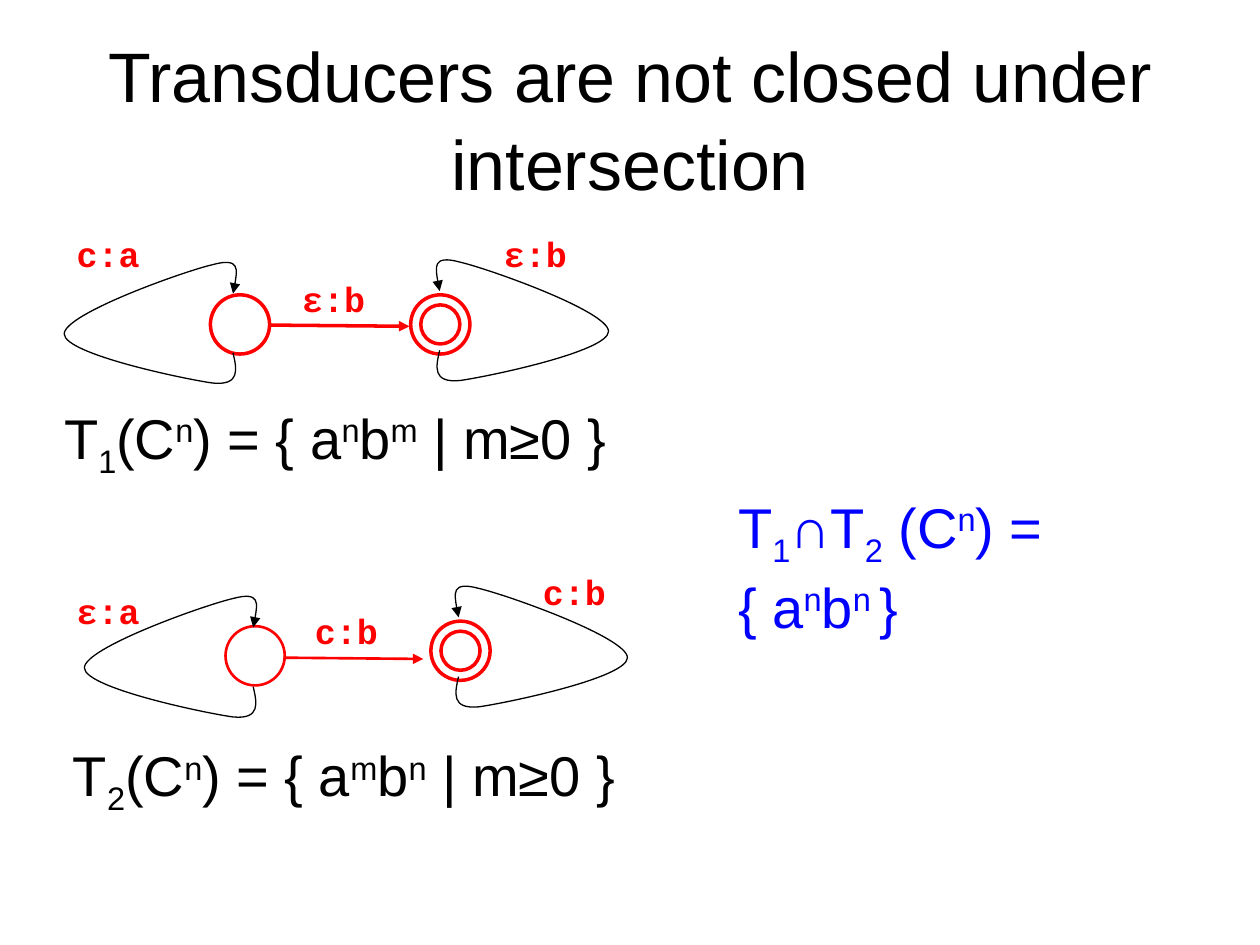
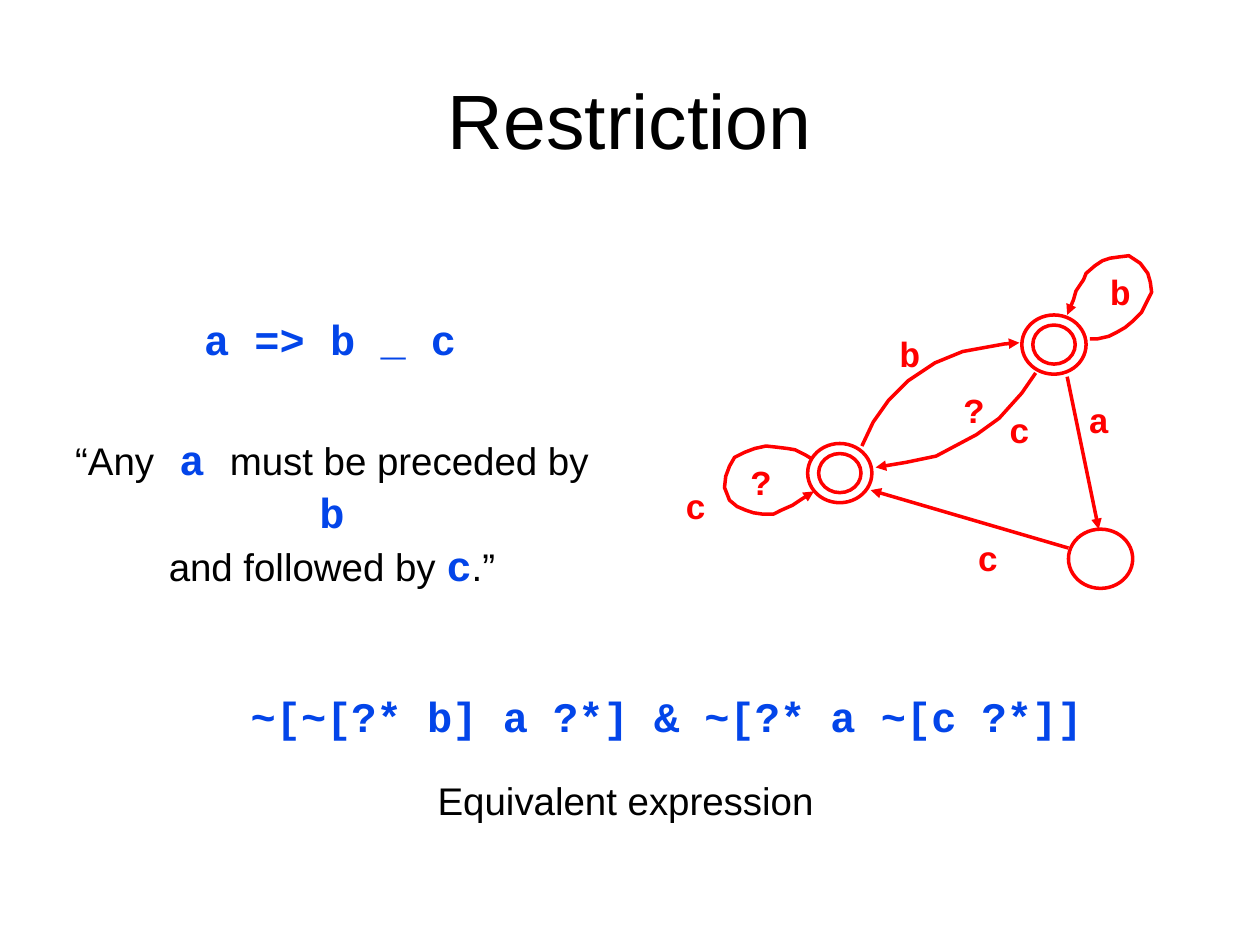
from pptx import Presentation
from pptx.dml.color import RGBColor
from pptx.enum.shapes import MSO_CONNECTOR as CONNECTOR, MSO_SHAPE as SHAPE
from pptx.enum.text import MSO_ANCHOR as ANCHOR, MSO_AUTO_SIZE as FIT, PP_ALIGN as ALIGN
from pptx.oxml.ns import qn
from pptx.util import Inches, Pt

RED, BLACK, BLUE, CODE_BLUE = "FF0000", "000000", "0000FF", "0345E9"
SANS, MONO = "Arial", "Courier New"
LEADING = 1.05
SUB, BASE, SUP = -25000, 0, 30000

STYLES = {
    "label": (MONO, 20, RED, True),
    "formula": (SANS, 32, BLACK, False),
    "result": (SANS, 32, BLUE, False),
    "code": (MONO, 24, CODE_BLUE, True),
    "prose": (SANS, 22, BLACK, False),
}

INTERSECTION_TITLE = ("Transducers are not closed under intersection", 40)
INTERSECTION_STATES = [
    (1.67, 2.34, 2, False), (3.26, 2.34, 2, True),
    (1.79, 4.97, 1.5, False), (3.42, 4.93, 2, True),
]
INTERSECTION_ARROWS = [((2.14, 2.58), (3.25, 2.59), 2), ((2.25, 5.22), (3.36, 5.23), 1.5)]
INTERSECTION_LABELS = [
    ("c:a", 0.51, 1.78), ("ε:b", 2.3, 2.14), ("ε:b", 3.9, 1.78),
    ("ε:a", 0.51, 4.61), ("c:b", 2.4, 4.77), ("c:b", 4.21, 4.46),
]
LOOP_WIDTH = 1.4
LOOP_POINTS = [
    (1.34, 0.76), (1.37, 0.89), (1.4, 1.02), (1.18, 1.0),
    (0.96, 0.97), (0, 0.77), (0, 0.61),
    (0, 0.45), (0.96, 0.11), (1.18, 0.06),
    (1.4, 0), (1.37, 0.15), (1.34, 0.29),
]
LOOPS = [(0.51, 2.04, False), (0.67, 4.69, False), (3.43, 2.02, True), (3.58, 4.61, True)]
FORMULAS = [
    (0.41, 3.12, 4.52, "formula", [
        ("T", BASE), ("1", SUB), ("(C", BASE), ("n", SUP), (") = { a", BASE), ("n", SUP),
        ("b", BASE), ("m", SUP), (" | m≥0 }", BASE)]),
    (0.48, 5.8, 4.52, "formula", [
        ("T", BASE), ("2", SUB), ("(C", BASE), ("n", SUP), (") = { a", BASE), ("m", SUP),
        ("b", BASE), ("n", SUP), (" | m≥0 }", BASE)]),
    (5.76, 3.83, 4.01, "result", [
        ("T", BASE), ("1", SUB), ("∩T", BASE), ("2", SUB), (" (C", BASE), ("n", SUP),
        (") = { a", BASE), ("n", SUP), ("b", BASE), ("n ", SUP), ("}", BASE)]),
]

RESTRICTION_TITLE = ("Restriction", 44)
RESTRICTION_STATES = [(8.48, 4.2, False), (8.11, 2.5, True), (6.41, 3.52, True)]
RESTRICTION_ARROWS = [((8.47, 2.99), (8.72, 4.2), 2), ((8.48, 4.35), (6.91, 3.89), 2)]
RESTRICTION_LABELS = [
    ("?", 5.86, 3.59), ("c", 5.34, 3.78), ("b", 8.71, 2.08), ("b", 7.04, 2.57),
    ("c", 7.91, 3.18), ("?", 7.55, 3.02), ("a", 8.54, 3.1), ("c", 7.66, 4.19),
]
RESTRICTION_PATHS = [
    [(6.84, 3.54), (6.93, 3.35), (7.05, 3.18), (7.21, 3.02), (7.42, 2.88), (7.64, 2.79),
     (7.97, 2.73), (8.09, 2.72)],
    [(8.22, 2.96), (8.11, 3.12), (7.93, 3.32), (7.75, 3.45), (7.43, 3.62), (7.19, 3.67),
     (6.95, 3.71)],
    [(6.44, 3.64), (6.39, 3.61), (6.31, 3.57), (6.25, 3.56), (6.17, 3.55), (6.08, 3.54),
     (5.99, 3.56), (5.91, 3.59), (5.83, 3.63), (5.79, 3.7), (5.76, 3.78), (5.75, 3.87),
     (5.79, 3.97), (5.85, 4.02), (5.92, 4.05), (5.98, 4.07), (6.05, 4.08), (6.14, 4.08),
     (6.2, 4.05), (6.29, 4.01), (6.35, 3.97), (6.46, 3.9)],
    [(8.65, 2.69), (8.71, 2.69), (8.8, 2.67), (8.86, 2.64), (8.93, 2.6), (8.99, 2.55),
     (9.06, 2.48), (9.1, 2.4), (9.14, 2.32), (9.13, 2.24), (9.11, 2.17), (9.05, 2.09),
     (8.96, 2.03), (8.88, 2.04), (8.81, 2.05), (8.75, 2.07), (8.69, 2.11), (8.62, 2.17),
     (8.6, 2.22), (8.54, 2.31), (8.52, 2.38), (8.47, 2.5)],
]
EXPLANATIONS = [
    (1.52, 2.42, 2.2, 0.5, [[("a => b _ c", "code")]]),
    (0.3, 3.37, 4.67, 0.9, [
        [("“Any", "prose"), (" a ", "code"), ("must be preceded by", "prose"), (" b", "code")],
        [("and followed by ", "prose"), ("c", "code"), (".”", "prose")]]),
    (1.79, 5.41, 7, 0.5, [[("~[~[?* b] a ?*] & ~[?* a ~[c ?*]]", "code")]]),
    (3.29, 6.1, 3.35, 0.46, [[("Equivalent expression", "prose")]]),
]


def color(hex_value):
    return RGBColor.from_string(hex_value)


def style_font(font, name, size, hex_value, bold=False):
    font.name, font.size, font.bold = name, Pt(size), bold
    font.color.rgb = color(hex_value)


def add_titled_slide(prs, title):
    wording, size = title
    slide = prs.slides.add_slide(prs.slide_layouts[5])
    heading = slide.shapes.title
    heading.left, heading.top, heading.width, heading.height = map(Inches, (0.5, 0.3, 9, 1.25))
    frame = heading.text_frame
    frame.text = wording
    frame.auto_size, frame.vertical_anchor, frame.word_wrap = FIT.NONE, ANCHOR.MIDDLE, True
    paragraph = frame.paragraphs[0]
    paragraph.alignment, paragraph.line_spacing = ALIGN.CENTER, LEADING
    style_font(paragraph.runs[0].font, SANS, size, BLACK)
    return slide


def add_text(slide, box, lines, align=ALIGN.LEFT, wrap=False):
    frame = slide.shapes.add_textbox(*map(Inches, box)).text_frame
    frame.word_wrap = wrap
    for index, pieces in enumerate(lines):
        paragraph = frame.add_paragraph() if index else frame.paragraphs[0]
        paragraph.alignment, paragraph.line_spacing = align, LEADING
        for wording, style, *shift in pieces:
            run = paragraph.add_run()
            run.text = wording
            style_font(run.font, *STYLES[style])
            if any(shift):
                run.font._element.set("baseline", str(shift[0]))


def add_labels(slide, labels, width):
    for wording, left, top in labels:
        add_text(slide, (left, top, width, 0.43), [[(wording, "label")]], wrap=True)


def stroke(line, hex_value, weight, arrow=False):
    line.color.rgb = color(hex_value)
    line.width = Pt(weight)
    if arrow:
        ln = line._get_or_add_ln()
        ln.append(ln.makeelement(qn("a:tailEnd"), {"type": "triangle"}))


def add_state(slide, left, top, width, weight, final):
    height = 0.47
    rings = [1, 0.66] if final else [1]
    for ratio in rings:
        inset = (1 - ratio) / 2
        box = (left + width * inset, top + height * inset, width * ratio, height * ratio)
        ring = slide.shapes.add_shape(SHAPE.OVAL, *map(Inches, box))
        ring.shadow.inherit = False
        ring.fill.background()
        stroke(ring.line, RED, weight)


def add_arrows(slide, arrows):
    for start, end, weight in arrows:
        arrow = slide.shapes.add_connector(CONNECTOR.STRAIGHT, *map(Inches, start + end))
        stroke(arrow.line, RED, weight, arrow=True)
        properties = arrow._element.spPr
        properties.append(properties.makeelement(qn("a:effectLst"), {}))


def add_outline(slide, points, hex_value, weight):
    start, *rest = [tuple(map(Inches, point)) for point in points]
    builder = slide.shapes.build_freeform(*start)
    builder.add_line_segments(rest, close=False)
    outline = builder.convert_to_shape()
    outline.shadow.inherit = False
    outline.fill.background()
    stroke(outline.line, hex_value, weight, arrow=True)
    return outline


def bend(outline):
    segments = list(outline._element.iter(qn("a:lnTo")))
    for first in range(0, len(segments), 3):
        trio = segments[first:first + 3]
        curve = trio[0].makeelement(qn("a:cubicBezTo"), {})
        trio[0].addprevious(curve)
        for segment in trio:
            curve.append(segment[0])
            segment.getparent().remove(segment)


def build_intersection(prs):
    slide = add_titled_slide(prs, INTERSECTION_TITLE)
    for left, top, weight, final in INTERSECTION_STATES:
        add_state(slide, left, top, 0.47, weight, final)
    add_arrows(slide, INTERSECTION_ARROWS)
    for left, top, mirrored in LOOPS:
        points = [(left + (LOOP_WIDTH - x if mirrored else x), top + y) for x, y in LOOP_POINTS]
        bend(add_outline(slide, points, BLACK, 0.75))
    add_labels(slide, INTERSECTION_LABELS, 0.83)
    for left, top, width, style, pieces in FORMULAS:
        line = [(wording, style, shift) for wording, shift in pieces]
        add_text(slide, (left, top, width, 0.71), [line])


def build_restriction(prs):
    slide = add_titled_slide(prs, RESTRICTION_TITLE)
    for left, top, final in RESTRICTION_STATES:
        add_state(slide, left, top, 0.51, 2, final)
    for points in RESTRICTION_PATHS:
        add_outline(slide, points, RED, 2)
    add_arrows(slide, RESTRICTION_ARROWS)
    add_labels(slide, RESTRICTION_LABELS, 0.55)
    for *box, lines in EXPLANATIONS:
        add_text(slide, box, lines, ALIGN.CENTER)


def main():
    prs = Presentation()
    prs.slide_width, prs.slide_height = Inches(10), Inches(7.5)
    build_intersection(prs)
    build_restriction(prs)
    prs.save("out.pptx")


if __name__ == "__main__":
    main()
